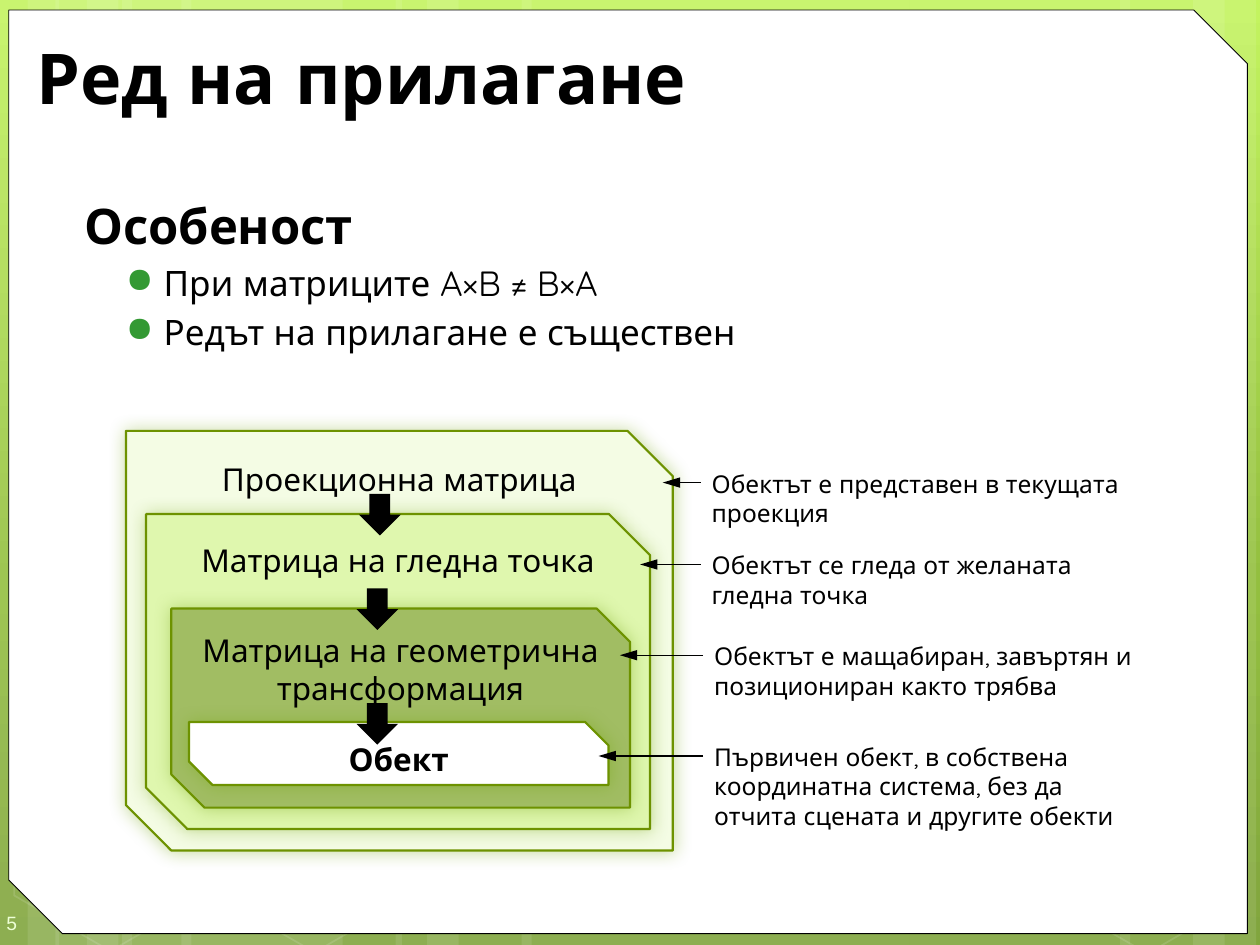
"""Build the slide on the order in which matrices are applied."""
from copy import deepcopy

from lxml import etree
from pptx import Presentation
from pptx.dml.color import RGBColor
from pptx.enum.shapes import MSO_CONNECTOR, MSO_SHAPE
from pptx.enum.text import MSO_ANCHOR, PP_ALIGN
from pptx.oxml.ns import qn
from pptx.util import Emu, Inches, Pt

RECT, HEXAGON = MSO_SHAPE.RECTANGLE, MSO_SHAPE.HEXAGON
SNIP, DOWN = MSO_SHAPE.SNIP_2_DIAG_RECTANGLE, MSO_SHAPE.DOWN_ARROW
STRAIGHT = MSO_CONNECTOR.STRAIGHT
TOP, MIDDLE = MSO_ANCHOR.TOP, MSO_ANCHOR.MIDDLE
CENTER = PP_ALIGN.CENTER

FONT = "Quicksand"
WIDTH, HEIGHT = 10, 7.5
BACKDROP = [(0, "C3F35F"), (0.62, "93BF3F"), (1, "81A53E")]
BANDS = [(0.97, 1.75), (0, 0.47), (0.22, 0.83), (1.44, 1.75), (0.44, 0.5), (0.69, 0.83),
         (7.22, 1.75), (9.47, 0.5), (8.89, 0.83), (4.14, 3.08), (3.14, 0.5), (3.39, 0.83)]
HEXAGONS = [(0, 5.91), (1.62, 5.92), (8.23, 5.93)]

TITLE = "Ред на прилагане"
HEADING = "Особеност"
BULLETS = ["При матриците A×B ≠ B×A", "Редът на прилагане е съществен"]

PANELS = [
    ((1, 3.42, 4.34, 3.33), 0.108, "F4FCE4", ["Проекционна матрица"], False),
    ((1.16, 4.08, 4, 2.5), 0.131, "DFF7AE", ["Матрица на гледна точка"], False),
    ((1.36, 4.83, 3.64, 1.58), 0.167, "A1BD63",
     ["Матрица на геометрична", "трансформация"], False),
    ((1.5, 5.73, 3.33, 0.5), 0.373, "FFFFFF", ["Обект"], True),
]
STEPS = [(2.85, 3.92), (2.83, 4.67), (2.83, 5.58)]
NOTES = [
    (5.48, 3.67, 0.57, "Обектът е представен в текущата проекция"),
    (5.48, 4.32, 0.57, "Обектът се гледа от желаната гледна точка"),
    (5.5, 5.04, 0.57, "Обектът е мащабиран, завъртян и позициониран както трябва"),
    (5.5, 5.84, 0.81, "Първичен обект, в собствена координатна система, "
                      "без да отчита сцената и другите обекти"),
]


def rgb(color):
    """Turn a hex string into a colour."""
    return RGBColor.from_string(color)


def child(parent, tag, **attrs):
    """Append a drawing element to a parent."""
    e = etree.SubElement(parent, qn(tag))
    for name, value in attrs.items():
        e.set(name, str(value))
    return e


def fade(fill, percent):
    """Make a solid colour see-through."""
    color = next(fill.iter(qn("a:srgbClr")))
    child(color, "a:alpha", val=percent * 1000)


def add_shape(s, kind, box, fill=None, line=None, weight=1):
    """Add a preset shape without a shadow."""
    sp = s.shapes.add_shape(kind, *map(Inches, box))
    sp.shadow.inherit = False
    if fill:
        sp.fill.solid()
        sp.fill.fore_color.rgb = rgb(fill)
    else:
        sp.fill.background()
    if line:
        sp.line.color.rgb = rgb(line)
        sp.line.width = Pt(weight)
    else:
        sp.line.fill.background()
    return sp


def add_text(s, box, anchor=TOP):
    """Add a wrapping text box and return its frame."""
    tf = s.shapes.add_textbox(*map(Inches, box)).text_frame
    tf.word_wrap = True
    tf.vertical_anchor = anchor
    return tf


def write(tf, i, text, size, bold=False, color="000000", font=FONT):
    """Write one paragraph as a single run."""
    p = tf.paragraphs[0] if i == 0 else tf.add_paragraph()
    r = p.add_run()
    r.text = text
    r.font.name, r.font.size, r.font.bold = font, Pt(size), bold
    r.font.color.rgb = rgb(color)
    return p


def indent(p, left, first=0):
    """Set the left margin and first-line indent."""
    pPr = p._p.get_or_add_pPr()
    pPr.set("marL", str(Inches(left)))
    pPr.set("indent", str(Inches(first)))
    return pPr


def add_backdrop(s):
    """Paint the green gradient, its bands and the white page."""
    fill = s.background.fill
    fill.gradient()
    fill.gradient_angle = 270
    stops = next(s._element.iter(qn("a:gsLst")))
    stops.insert(1, deepcopy(stops[0]))
    for stop, (position, color) in zip(fill.gradient_stops, BACKDROP):
        stop.position = position
        stop.color.rgb = rgb(color)
    for x, w in BANDS:
        fade(add_shape(s, RECT, (x, 0, w, HEIGHT), "FFFFFF")._element, 10)
    for x, y in HEXAGONS:
        sp = add_shape(s, HEXAGON, (x, y, 1.75, 1.52), line="FFFFFF")
        sp.adjustments[0] = 0.285
        sp.rotation = 30
        fade(sp._element, 12)
    page = add_shape(s, SNIP, (0.07, 0.08, 9.83, 7.33), "FFFFFF", "000000", 0.5)
    page.adjustments[1] = 0.058


def add_panel(s, box, snip, fill, lines, bold):
    """Add one nested panel with a soft green halo."""
    sp = add_shape(s, SNIP, box, fill, "6D9200", 1.25)
    sp.adjustments[1] = snip
    halo = child(sp._element.spPr.find(qn("a:effectLst")), "a:outerShdw",
                 blurRad=Pt(10), dist=0, dir=45 * 60000, algn="ctr", rotWithShape=0)
    child(child(halo, "a:srgbClr", val="74A510"), "a:alpha", val=40000)
    tf = sp.text_frame
    tf.word_wrap = False
    tf.vertical_anchor = TOP
    tf.margin_left = tf.margin_right = Emu(0)
    for i, text in enumerate(lines):
        write(tf, i, text, 18, bold).alignment = CENTER


def add_note(s, x, y, h, text, tip):
    """Add a note and its arrow to a panel."""
    indent(write(add_text(s, (x, y, 3.67, h)), 0, text, 14), 0.07)
    level = y + 0.16
    c = s.shapes.add_connector(STRAIGHT, *map(Inches, (x + 0.08, level, tip, level)))
    c.line.color.rgb = rgb("000000")
    c.line.width = Pt(0.75)
    child(c.line._get_or_add_ln(), "a:tailEnd", type="triangle", w="med", len="lg")
    child(c._element.spPr, "a:effectLst")


def main():
    """Build and save the slide."""
    prs = Presentation()
    prs.slide_width, prs.slide_height = Inches(WIDTH), Inches(HEIGHT)
    s = prs.slides.add_slide(prs.slide_layouts[6])
    add_backdrop(s)

    tf = add_text(s, (0, 7.1, 0.58, 0.4), MIDDLE)
    tf.margin_left, tf.margin_top = Inches(0.05), Inches(0.15)
    tf.margin_right, tf.margin_bottom = Emu(0), Inches(0.1)
    write(tf, 0, "5", 11, color="EEFFD6", font="Arial")

    write(add_text(s, (0.19, 0.25, 9.47, 0.71), MIDDLE), 0, TITLE, 40, True)
    tf = add_text(s, (0.5, 1.5, 9.42, 1.5))
    indent(write(tf, 0, HEADING, 28, True), 0.07)
    for i, text in enumerate(BULLETS, 1):
        p = write(tf, i, text, 20)
        p.space_before = Pt(4)
        pPr = indent(p, 0.7, -0.3)
        child(child(pPr, "a:buClr"), "a:srgbClr", val="339933")
        child(pPr, "a:buChar", char="●")

    for panel in PANELS:
        add_panel(s, *panel)
    for x, y in STEPS:
        add_shape(s, DOWN, (x, y, 0.33, 0.33), "000000")
    for note, ((x, _, w, _), *_) in zip(NOTES, PANELS):
        add_note(s, *note, tip=x + w - 0.08)
    prs.save("out.pptx")


if __name__ == "__main__":
    main()
